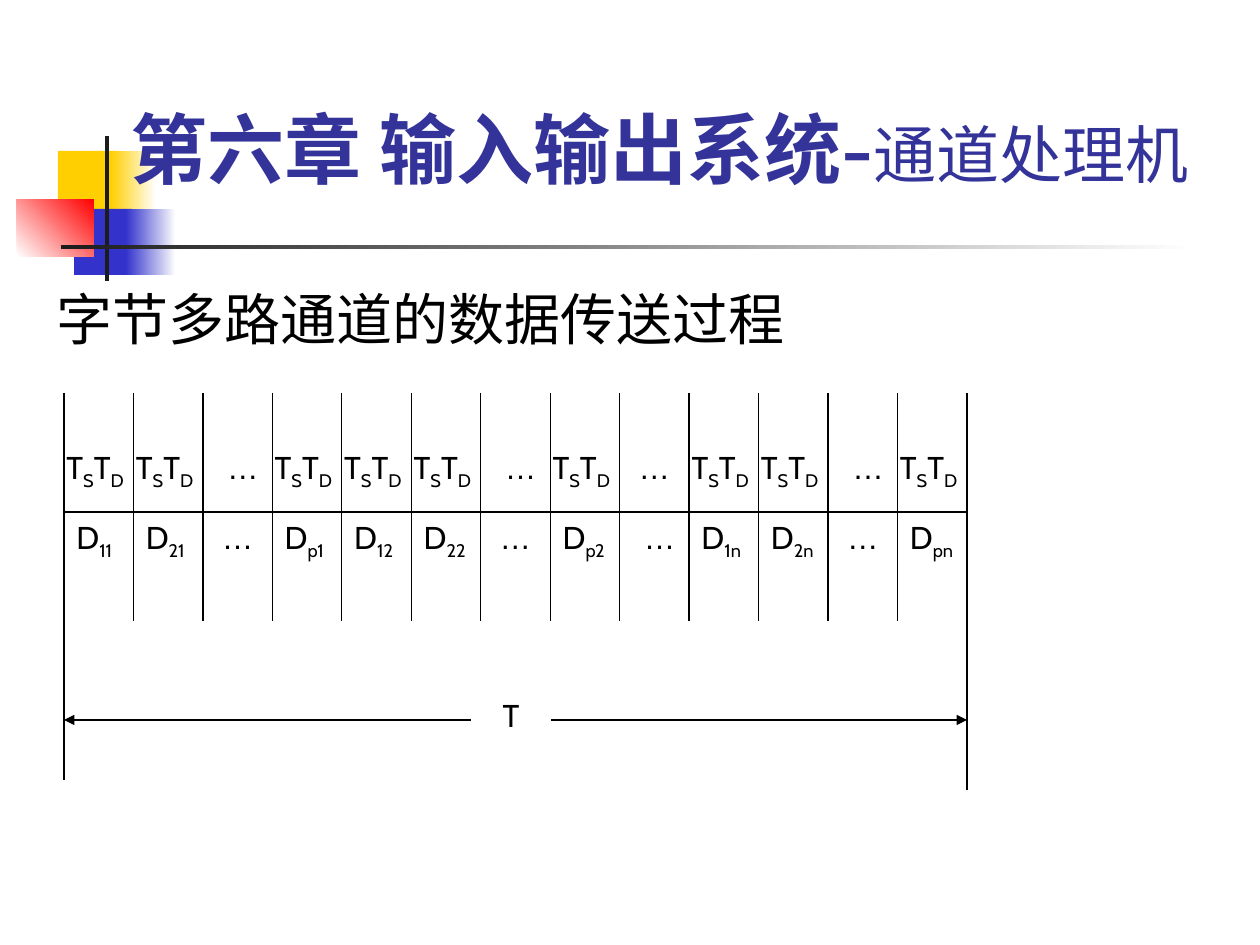
from pptx import Presentation
from pptx.dml.color import RGBColor
from pptx.enum.shapes import MSO_CONNECTOR, MSO_SHAPE
from pptx.enum.text import MSO_ANCHOR, MSO_AUTO_SIZE, PP_ALIGN
from pptx.oxml.ns import qn
from pptx.util import Pt
from lxml.etree import SubElement

PX = 914400 / 126

BLACK = RGBColor(0x00, 0x00, 0x00)
WHITE = RGBColor(0xFF, 0xFF, 0xFF)
NAVY = RGBColor(0x33, 0x33, 0x99)
YELLOW = RGBColor(0xFF, 0xCF, 0x01)
BLUE = RGBColor(0x33, 0x33, 0xCC)
RED = RGBColor(0xFF, 0x00, 0x00)
DARK = RGBColor(0x1C, 0x1C, 0x1C)

FONT, DOTS_FONT = "Cabin", "Arial"
DOTS = "…"

TITLE = [("第六章 输入输出系统-", 44, True), ("通道处理机", 36, False)]
HEADING = "字节多路通道的数据传送过程"
# Subscript of D in each time slot; DOTS marks skipped slots
SLOTS = ["11", "21", DOTS, "p1", "12", "22", DOTS, "p2", DOTS, "1n", "2n", DOTS, "pn"]
# Left, top, width, height, colours, gradient angle
DECORATIONS = [
    (58, 151, 60, 66, [YELLOW], 0),
    (111, 151, 45, 66, [YELLOW, WHITE], 0),
    (74, 209, 58, 66, [BLUE], 0),
    (126, 209, 50, 66, [BLUE, WHITE], 0),
    (17, 199, 77, 58, [WHITE, RED], 45),
    (105, 136, 4, 145, [DARK], 0),
    (61, 245, 1134, 4, [DARK, WHITE], 0),
]

GRID_LEFT, GRID_RIGHT = 64, 967
GRID_TOP, GRID_MIDDLE, GRID_BOTTOM = 393, 512, 621
SLOT_WIDTH = (GRID_RIGHT - GRID_LEFT) / len(SLOTS)
TIMES_TOP, SPAN_Y = 442, 720
LABEL_LEFT, LABEL_RIGHT = 471, 551


def emu(*lengths):
    return [round(length * PX) for length in lengths]


def add_run(paragraph, text, size, color=BLACK, font=FONT, bold=False, subscript=False):
    run = paragraph.add_run()
    run.text = text
    run.font.size = Pt(size)
    run.font.name = font
    run.font.bold = bold
    run.font.color.rgb = color
    if subscript:
        run.font._element.set("baseline", "-25000")


def add_text(slide, left, top, width, height, runs, size=18, font=FONT, align=PP_ALIGN.LEFT):
    """Add a text box; runs are (text, is_subscript) pairs."""
    frame = slide.shapes.add_textbox(*emu(left, top, width, height)).text_frame
    frame.word_wrap = True
    paragraph = frame.paragraphs[0]
    paragraph.alignment = align
    for text, subscript in runs:
        add_run(paragraph, text, size, font=font, subscript=subscript)


def add_line(slide, x1, y1, x2, y2, arrow=False):
    line = slide.shapes.add_connector(MSO_CONNECTOR.STRAIGHT, *emu(x1, y1, x2, y2))
    line.line.color.rgb = BLACK
    line.line.width = Pt(0.75)
    if arrow:
        SubElement(line.line._get_or_add_ln(), qn("a:tailEnd"), type="triangle")
    SubElement(line._element.spPr, qn("a:effectLst"))


def add_decorations(slide):
    for left, top, width, height, colors, angle in DECORATIONS:
        shape = slide.shapes.add_shape(MSO_SHAPE.RECTANGLE, *emu(left, top, width, height))
        shape.shadow.inherit = False
        shape.line.fill.background()
        if len(colors) == 1:
            shape.fill.solid()
            shape.fill.fore_color.rgb = colors[0]
        else:
            shape.fill.gradient()
            shape.fill.gradient_angle = angle
            for stop, color in zip(shape.fill.gradient_stops, colors):
                stop.color.rgb = color


def format_title(slide):
    title = slide.shapes.title
    title.left, title.top, title.width, title.height = emu(118, 78, 1105, 122)
    frame = title.text_frame
    frame.auto_size = MSO_AUTO_SIZE.NONE
    frame.vertical_anchor = MSO_ANCHOR.BOTTOM
    frame.paragraphs[0].alignment = PP_ALIGN.LEFT
    for text, size, bold in TITLE:
        add_run(frame.paragraphs[0], text, size, NAVY, bold=bold)
    # Bring the title in front of the decorations
    slide.shapes.element.append(title.element)


def add_slots(slide):
    for index, name in enumerate(SLOTS):
        left = GRID_LEFT + index * SLOT_WIDTH
        right = left + SLOT_WIDTH
        if name == DOTS:
            # Dots next to another dotted or "p" slot sit differently
            after_p2 = SLOTS[index - 1] == "p2"
            upper = (left, SLOT_WIDTH) if after_p2 else (left - 10, 100)
            lower = (left, 80 if after_p2 else SLOT_WIDTH)
            for (x, width), top in ((upper, TIMES_TOP), (lower, GRID_MIDDLE)):
                add_text(slide, x, top, width, 50, [(DOTS, False)],
                         font=DOTS_FONT, align=PP_ALIGN.CENTER)
        else:
            add_text(slide, left - 10, TIMES_TOP, 100, 55,
                     [("T", False), ("S", True), ("T", False), ("D", True)])
            add_text(slide, left, GRID_MIDDLE, 90, 55, [("D", False), (name, True)])
        add_line(slide, right, GRID_TOP, right, GRID_BOTTOM)


def add_time_span(slide):
    add_line(slide, GRID_RIGHT, 611, GRID_RIGHT, 790)
    add_line(slide, LABEL_LEFT, SPAN_Y, GRID_LEFT, SPAN_Y, arrow=True)
    add_line(slide, LABEL_RIGHT, SPAN_Y, GRID_RIGHT, SPAN_Y, arrow=True)
    add_text(slide, LABEL_LEFT, 690, LABEL_RIGHT - LABEL_LEFT, 50, [("T", False)],
             align=PP_ALIGN.CENTER)


def main():
    presentation = Presentation()
    presentation.slide_width, presentation.slide_height = emu(1260, 945)
    slide = presentation.slides.add_slide(presentation.slide_layouts[5])
    add_decorations(slide)
    format_title(slide)
    add_text(slide, 44, 278, 1189, 86, [(HEADING, False)], size=32)
    add_line(slide, GRID_LEFT, GRID_TOP, GRID_LEFT, 780)
    add_line(slide, GRID_LEFT, GRID_MIDDLE, GRID_RIGHT, GRID_MIDDLE)
    add_slots(slide)
    add_time_span(slide)
    presentation.save("out.pptx")


if __name__ == "__main__":
    main()
